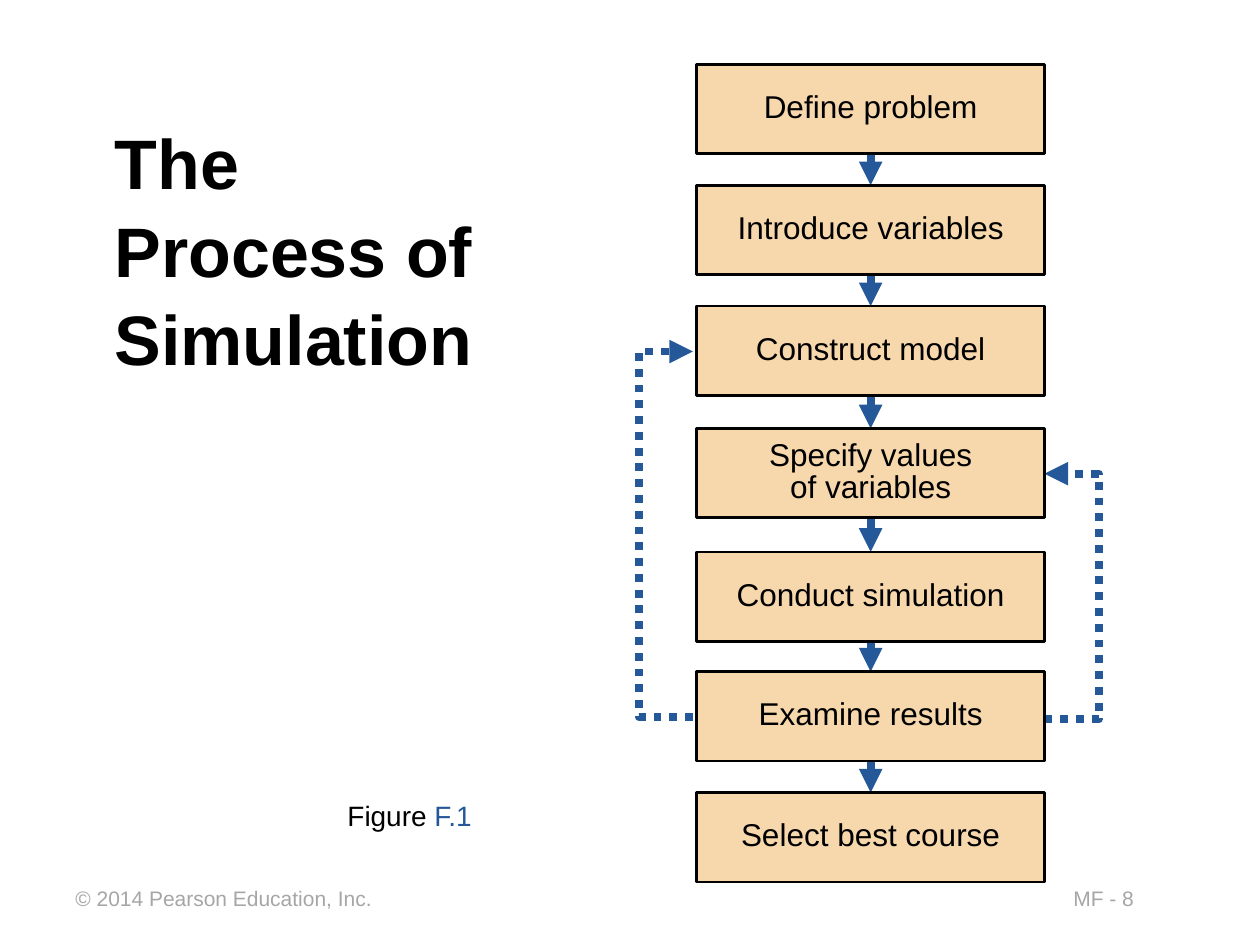
"""Build the slide on the process of simulation."""
from itertools import pairwise

from lxml import etree
from pptx import Presentation
from pptx.dml.color import RGBColor
from pptx.enum import dml, shapes, text
from pptx.oxml.ns import qn
from pptx.util import Inches, Pt

BLACK = RGBColor(0x00, 0x00, 0x00)
BLUE = RGBColor(0x25, 0x58, 0x98)
GREY = RGBColor(0xA6, 0xA6, 0xA6)
PEACH = RGBColor(0xF7, 0xD7, 0xAC)

FONT = "Arial"
BOX_LEFT, BOX_WIDTH, BOX_HEIGHT = 5.53, 2.76, 0.71
STEPS = [
    ("Define problem", 0.51),
    ("Introduce variables", 1.47),
    ("Construct model", 2.43),
    ("Specify values\nof variables", 3.4),
    ("Conduct simulation", 4.38),
    ("Examine results", 5.33),
    ("Select best course", 6.29),
]
FEEDBACK_LOOPS = [
    [(8.29, 5.71), (8.72, 5.71), (8.72, 3.76), (8.29, 3.76)],
    [(5.5, 5.69), (5.07, 5.69), (5.07, 2.79), (5.5, 2.79)],
]


def set_font(paragraph, size, color, bold=False):
    font = paragraph.font
    font.name, font.size, font.bold = FONT, Pt(size), bold
    font.color.rgb = color


def add_label(slide, left, top, width, height, words, size, color, bold=False):
    label = slide.shapes.add_textbox(
        Inches(left), Inches(top), Inches(width), Inches(height))
    label.text_frame.word_wrap = True
    paragraph = label.text_frame.paragraphs[0]
    paragraph.text = words
    set_font(paragraph, size, color, bold)
    return label


def add_title(slide):
    title = add_label(slide, 0.69, 0.63, 3.92, 2.67,
                      "The\vProcess of Simulation", 40, BLACK, True)
    frame = title.text_frame
    frame.margin_left = Inches(0.22)
    frame.margin_top = frame.margin_bottom = Inches(0.25)
    frame.vertical_anchor = text.MSO_ANCHOR.MIDDLE
    frame.paragraphs[0].line_spacing = 1.05


def add_step(slide, words, top):
    box = slide.shapes.add_shape(
        shapes.MSO_SHAPE.RECTANGLE, Inches(BOX_LEFT), Inches(top),
        Inches(BOX_WIDTH), Inches(BOX_HEIGHT))
    box.shadow.inherit = False
    box.fill.solid()
    box.fill.fore_color.rgb = PEACH
    box.line.color.rgb = BLACK
    box.line.width = Pt(1.5)
    frame = box.text_frame
    frame.text = words
    frame.vertical_anchor = text.MSO_ANCHOR.MIDDLE
    for paragraph in frame.paragraphs:
        paragraph.alignment = text.PP_ALIGN.CENTER
        paragraph.line_spacing = 0.85
        set_font(paragraph, 18, BLACK)
    return box


def style_arrow(arrow):
    arrow.line.color.rgb = BLUE
    arrow.line.width = Pt(4.5)
    line = arrow.element.spPr.find(qn("a:ln"))
    etree.SubElement(line, qn("a:tailEnd"), type="triangle")


def add_step_arrow(slide, upper, lower):
    """Join two steps with an arrow that lies behind the boxes."""
    arrow = slide.shapes.add_connector(shapes.MSO_CONNECTOR.STRAIGHT, 0, 0, 0, 0)
    arrow.begin_connect(upper, 2)
    arrow.end_connect(lower, 0)
    style_arrow(arrow)
    etree.SubElement(arrow.element.spPr, qn("a:effectLst"))
    upper.element.addprevious(arrow.element)


def add_feedback_loop(slide, points):
    start, *corners = [(Inches(x), Inches(y)) for x, y in points]
    builder = slide.shapes.build_freeform(*start)
    builder.add_line_segments(corners, close=False)
    loop = builder.convert_to_shape()
    loop.shadow.inherit = False
    loop.fill.background()
    loop.line.dash_style = dml.MSO_LINE.ROUND_DOT
    style_arrow(loop)


def main():
    presentation = Presentation()
    presentation.slide_width, presentation.slide_height = Inches(10), Inches(7.5)
    slide = presentation.slides.add_slide(presentation.slide_layouts[6])

    add_label(slide, 8.42, 6.98, 1.35, 0.3, "MF - 8", 12, GREY)
    add_label(slide, 0.5, 6.98, 2.7, 0.3, "© 2014 Pearson Education, Inc.", 12, GREY)
    for points in FEEDBACK_LOOPS:
        add_feedback_loop(slide, points)
    boxes = [add_step(slide, words, top) for words, top in STEPS]
    for upper, lower in pairwise(boxes):
        add_step_arrow(slide, upper, lower)
    add_title(slide)
    figure = add_label(slide, 2.66, 6.29, 1.3, 0.37, "Figure ", 16, BLACK)
    number = figure.text_frame.paragraphs[0].add_run()
    number.text = "F.1"
    number.font.color.rgb = BLUE

    presentation.save("out.pptx")


if __name__ == "__main__":
    main()
